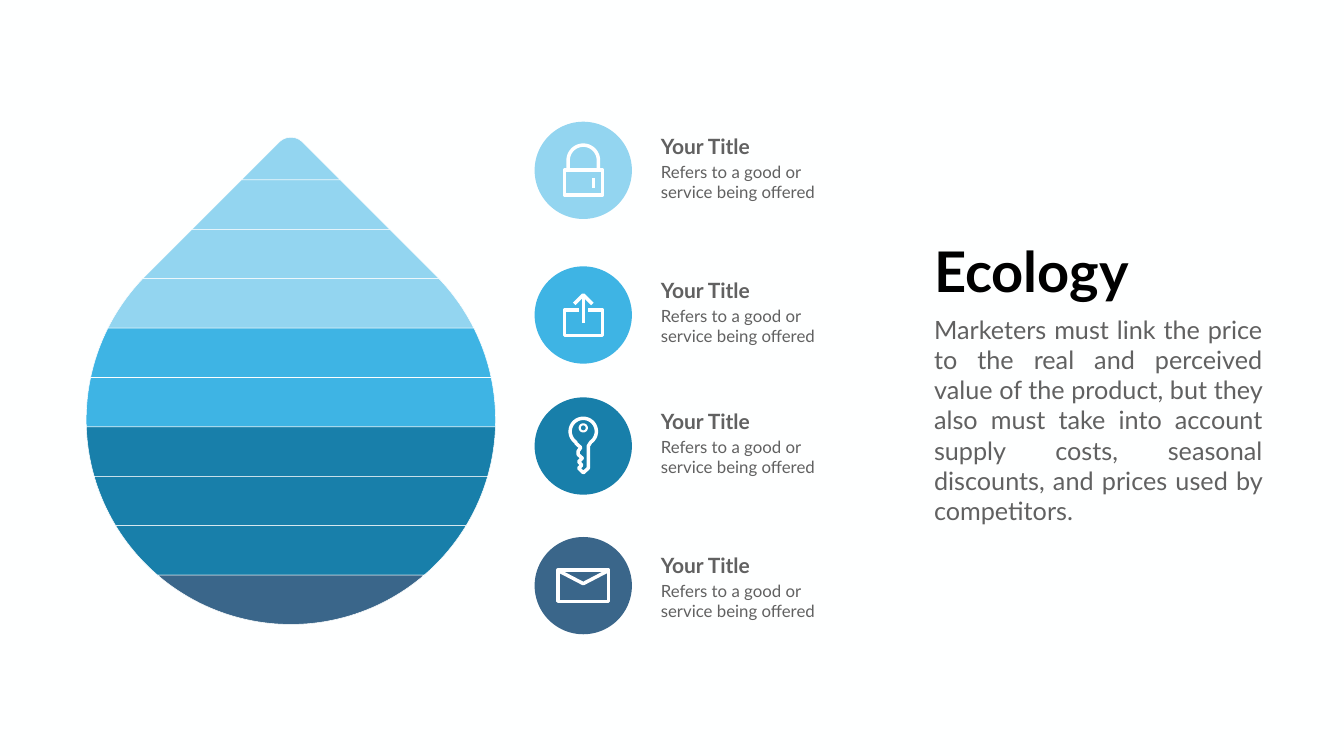
from math import cos, pi, radians, sin, sqrt

from pptx import Presentation
from pptx.dml.color import RGBColor
from pptx.enum.shapes import MSO_SHAPE
from pptx.enum.text import MSO_ANCHOR, MSO_AUTO_SIZE, PP_ALIGN
from pptx.util import Inches, Pt

SKY, BLUE, TEAL, NAVY = "93D5F0", "3EB4E4", "187FAA", "3A668A"
GREY, PAPER, WHITE = "616161", "FEFFFF", "FFFFFF"

DROP_X, DROP_Y, DROP_R = 5.77, 8.33, 4.06
TIP_R = 0.33
APEX_Y = DROP_Y - DROP_R * sqrt(2)
TIP_Y = APEX_Y + TIP_R * sqrt(2)
BAND_TOP, BAND_H = 3.57, 0.98
BANDS = [SKY] * 4 + [BLUE] * 2 + [TEAL] * 3 + [NAVY]

ICON_X, ICON_D, TEXT_X = 11.57, 1.93, 13.01


def rgb(value):
    return RGBColor.from_string(value)


def arc(x, y, r, start, end, steps=36):
    """Points from start to end, in degrees clockwise from the right."""
    angles = [radians(start + (end - start) * i / steps) for i in range(steps + 1)]
    return [(x + r * cos(a), y + r * sin(a)) for a in angles]


def half_width(y):
    """Half the width of the drop at height y: round tip, 45 degree sides, circle."""
    if y < TIP_Y - TIP_R / sqrt(2):
        return sqrt(max(0, TIP_R ** 2 - (y - TIP_Y) ** 2))
    if y < DROP_Y - DROP_R / sqrt(2):
        return y - APEX_Y
    return sqrt(max(0, DROP_R ** 2 - (y - DROP_Y) ** 2))


def band_outline(top, bottom, steps=40):
    ys = [top + (bottom - top) * (1 - cos(pi * i / steps)) / 2 for i in range(steps + 1)]
    right = [(DROP_X + half_width(y), y) for y in ys]
    left = [(DROP_X - half_width(y), y) for y in reversed(ys)]
    return right + left


def write(tf, text, size, color=GREY, bold=False, align=PP_ALIGN.LEFT):
    tf.word_wrap = True
    tf.auto_size = MSO_AUTO_SIZE.NONE
    tf.vertical_anchor = MSO_ANCHOR.TOP
    for i, line in enumerate(text.split("\n")):
        p = tf.paragraphs[0] if i == 0 else tf.add_paragraph()
        p.alignment = align
        r = p.add_run()
        r.text = line
        r.font.name = "Lato"
        r.font.size = Pt(size)
        r.font.bold = bold
        r.font.color.rgb = rgb(color)


class Deck:
    def __init__(self, prs):
        self.slide = prs.slides.add_slide(prs.slide_layouts[5])
        fill = self.slide.background.fill
        fill.solid()
        fill.fore_color.rgb = rgb(PAPER)

    def style(self, s, fill=None, line=None, width=0.75):
        s.shadow.inherit = False
        if fill:
            s.fill.solid()
            s.fill.fore_color.rgb = rgb(fill)
        else:
            s.fill.background()
        if line:
            s.line.color.rgb = rgb(line)
            s.line.width = Pt(width)
        else:
            s.line.fill.background()

    def title(self, text, x, y, w, h, **fmt):
        s = self.slide.shapes.title
        s.left, s.top, s.width, s.height = map(Inches, (x, y, w, h))
        write(s.text_frame, text, **fmt)

    def text(self, text, x, y, w, h, **fmt):
        s = self.slide.shapes.add_textbox(*map(Inches, (x, y, w, h)))
        write(s.text_frame, text, **fmt)

    def circle(self, x, y, d, color):
        box = map(Inches, (x - d / 2, y - d / 2, d, d))
        self.style(self.slide.shapes.add_shape(MSO_SHAPE.OVAL, *box), fill=color)

    def outline(self, contours, x=0, y=0, **style):
        """Draw one freeform from (points, closed) contours placed around x, y."""
        builder = None
        for points, closed in contours:
            first, *rest = [(Inches(x + px), Inches(y + py)) for px, py in points]
            if builder is None:
                builder = self.slide.shapes.build_freeform(*first)
            else:
                builder.move_to(*first)
            builder.add_line_segments(rest, close=closed)
        self.style(builder.convert_to_shape(), **style)


def rectangle(left, top, right, bottom):
    return [(left, top), (right, top), (right, bottom), (left, bottom)]


# Icon contours, in inches from the centre of their circle
LOCK = [
    (rectangle(-0.37, -0.01, 0.38, 0.49), True),
    ([(-0.3, -0.01)] + arc(0, -0.2, 0.3, 180, 360) + [(0.3, -0.01)], False),
    ([(0.2, 0.15), (0.2, 0.35)], False),
]
SHARE = [
    ([(-0.09, -0.1), (-0.37, -0.1), (-0.37, 0.41),
      (0.38, 0.41), (0.38, -0.1), (0.09, -0.1)], False),
    ([(0, 0.16), (0, -0.4)], False),
    ([(-0.18, -0.22), (0, -0.4), (0.18, -0.22)], False),
]
KEY = [
    (arc(0, -0.29, 0.26, 125, 415)
     + [(0.1, 0), (0.1, 0.44), (0, 0.53), (-0.09, 0.44), (-0.03, 0.38), (-0.09, 0.31),
        (-0.02, 0.24), (-0.1, 0.17), (-0.1, 0.1), (-0.05, 0.03), (-0.14, -0.05)], True),
]
KEY_HOLE = [(arc(0, -0.36, 0.07, 0, 360), True)]
ENVELOPE = [
    (rectangle(-0.5, -0.31, 0.5, 0.31), True),
    ([(-0.5, -0.3), (0, -0.04), (0.5, -0.3)], False),
]

# Circle centre, heading top, colour, icon
ITEMS = [
    (3.38, 2.6, SKY, LOCK),
    (6.25, 5.46, BLUE, SHARE),
    (8.85, 8.06, TEAL, KEY),
    (11.62, 10.91, NAVY, ENVELOPE),
]


def main():
    prs = Presentation()
    prs.slide_width, prs.slide_height = Inches(26.66), Inches(15)
    deck = Deck(prs)

    for i, color in enumerate(BANDS):
        bottom = BAND_TOP + i * BAND_H
        top = bottom - BAND_H if i else TIP_Y - TIP_R
        deck.outline([(band_outline(top, bottom), True)], fill=color, line=PAPER)

    for y, text_y, color, icon in ITEMS:
        deck.circle(ICON_X, y, ICON_D, color)
        deck.outline(icon, ICON_X, y, line=WHITE, width=5)
        if icon is KEY:
            deck.outline(KEY_HOLE, ICON_X, y, line=WHITE, width=3)
        deck.text("Your Title", TEXT_X, text_y, 2.24, 0.71, size=30, bold=True)
        deck.text("Refers to a good or\nservice being offered",
                  TEXT_X, text_y + 0.56, 3.41, 1.04, size=24)

    deck.title("Ecology", 18.43, 4.65, 4.24, 1.45, size=80, color="000000", bold=True)
    deck.text("Marketers must link the price to the real and perceived value of the product, "
              "but they also must take into account supply costs, seasonal discounts, "
              "and prices used by competitors.",
              18.43, 6.18, 6.71, 4.4, size=36, align=PP_ALIGN.JUSTIFY)
    prs.save("out.pptx")


if __name__ == "__main__":
    main()
